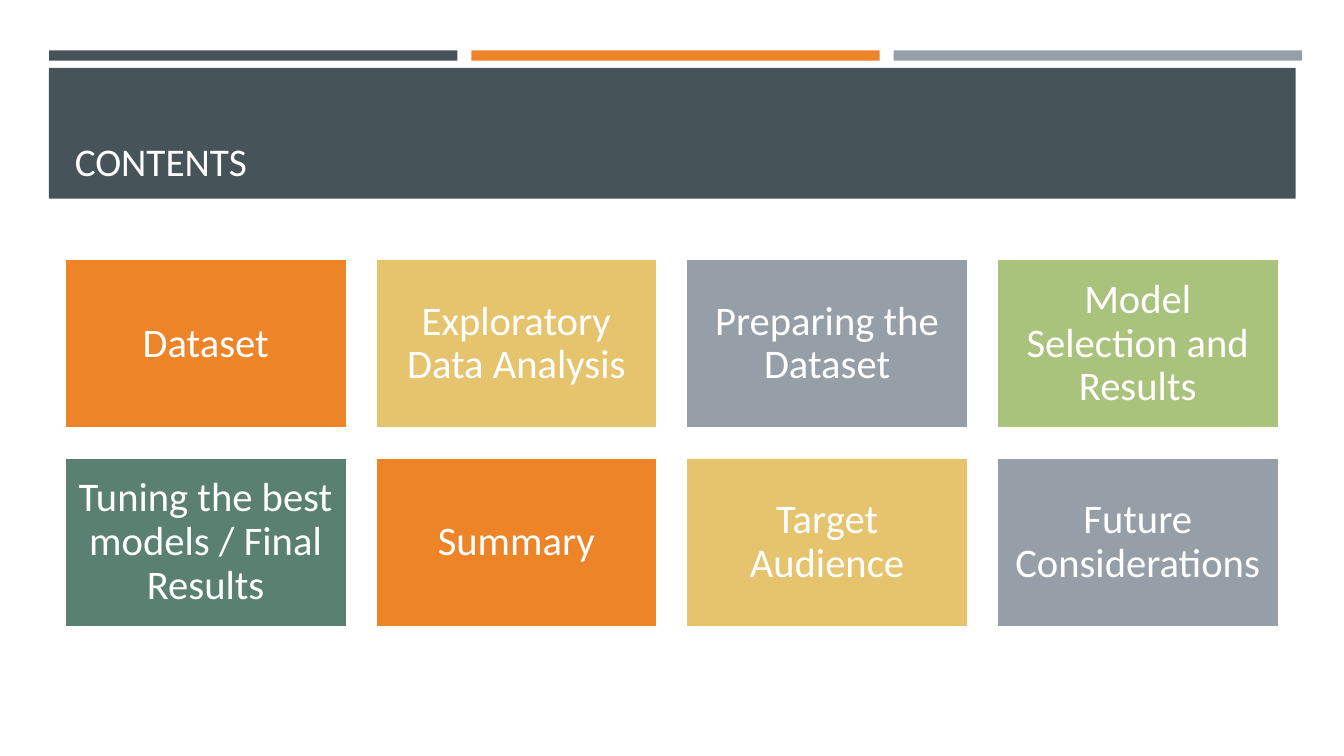
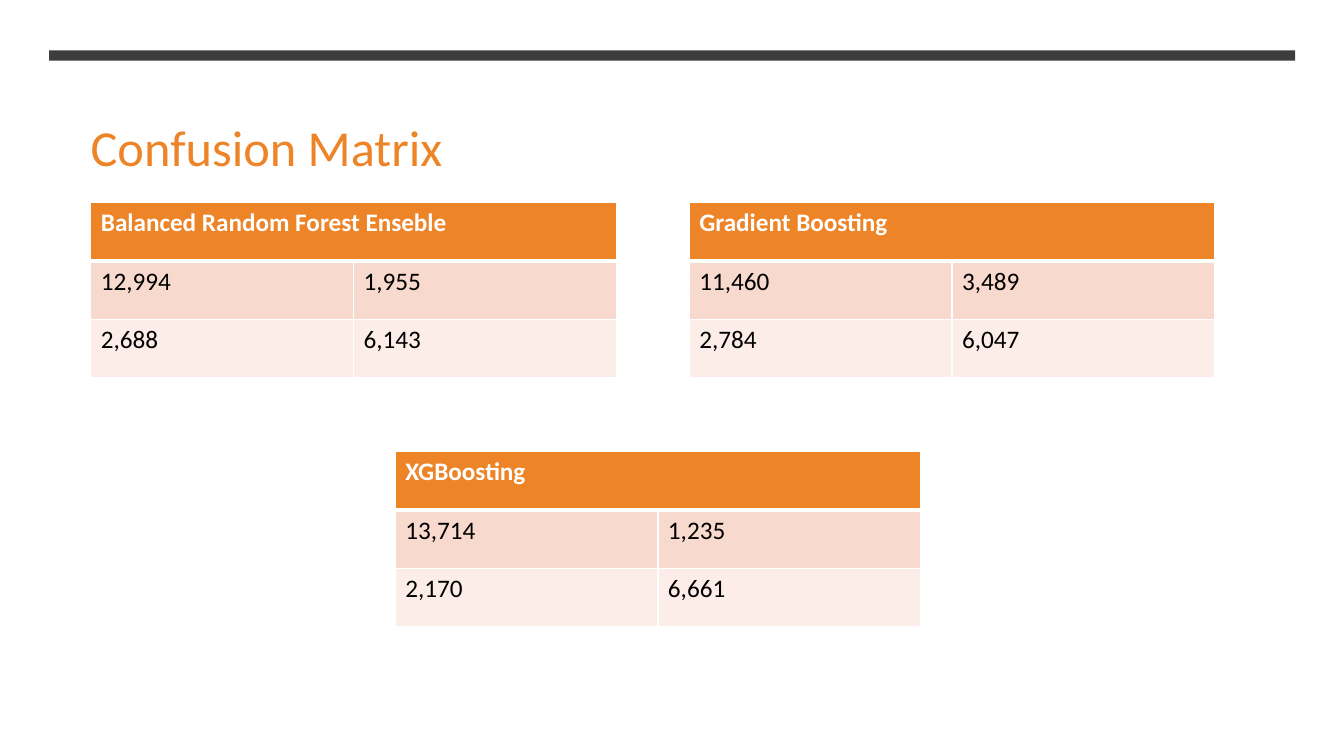
import pptx
import pptx.util
import pptx.dml.color
import pptx.enum.shapes
import pptx.enum.text
import pptx.oxml
import pptx.oxml.ns

Cm, Pt = pptx.util.Cm, pptx.util.Pt
ALIGN, ANCHOR = pptx.enum.text.PP_ALIGN, pptx.enum.text.MSO_ANCHOR
FONT = "Calibri"
SLATE, ORANGE, GREY, WHITE = "465359", "ED8428", "969FA7", "FFFFFF"
YELLOW, GREEN, TEAL, CHARCOAL = "E6C46D", "A9C37C", "5A8071", "3D3D3D"


def paint(target, color):
    """Give a fill or font a solid colour."""
    if hasattr(target, "solid"):
        target.solid()
        target = target.fore_color
    else:
        target = target.color
    target.rgb = pptx.dml.color.RGBColor.from_string(color)


def set_text(tf, text, size, color, align=ALIGN.LEFT, anchor=ANCHOR.TOP, bold=False):
    tf.text = text
    tf.word_wrap = True
    tf.vertical_anchor = anchor
    p = tf.paragraphs[0]
    p.alignment = align
    p.font.name, p.font.size, p.font.bold = FONT, Pt(size), bold
    paint(p.font, color)
    return p


prs = pptx.Presentation()
prs.slide_width, prs.slide_height = Cm(33.87), Cm(19.05)

# Bands and title of each slide: (left, top, width, height, colour)
slides = [
    ([(1.24 + 10.64 * i, 1.27, 10.29, 0.26, c) for i, c in enumerate((SLATE, ORANGE, GREY))]
     + [(1.23, 1.71, 31.42, 3.3, SLATE)],
     "CONTENTS", (1.63, 1.96, 30.63, 2.82), 28, "FFFEFF", ANCHOR.BOTTOM),
    ([(1.24, 1.27, 31.4, 0.26, CHARCOAL)],
     "Confusion Matrix", (2.03, 2.79, 25.91, 1.8), 36, ORANGE, ANCHOR.TOP),
]
for bands, text, box, size, color, anchor in slides:
    s = prs.slides.add_slide(prs.slide_layouts[5])
    for *place, fill in bands:
        sp = s.shapes.add_shape(pptx.enum.shapes.MSO_SHAPE.RECTANGLE, *map(Cm, place))
        sp.shadow.inherit = False
        paint(sp.fill, fill)
        sp.line.fill.background()
    title = s.shapes.title
    title.left, title.top, title.width, title.height = map(Cm, box)
    set_text(title.text_frame, text, size, color, anchor=anchor)
    title.text_frame.auto_size = pptx.enum.text.MSO_AUTO_SIZE.NONE
    s.shapes._spTree.append(title._element)  # title in front of the bands

contents, matrix = prs.slides

# Contents: grid of topic cards, four to a row
topics = ["Dataset", "Exploratory Data Analysis", "Preparing the Dataset",
          "Model Selection and Results", "Tuning the best models / Final Results",
          "Summary", "Target Audience", "Future Considerations"]
card_colors = [ORANGE, YELLOW, GREY, GREEN, TEAL]
for i, topic in enumerate(topics):
    row, col = divmod(i, 4)
    sp = contents.shapes.add_shape(pptx.enum.shapes.MSO_SHAPE.RECTANGLE,
                                   Cm(1.63 + 7.83 * col), Cm(6.53 + 5 * row), Cm(7.11), Cm(4.27))
    sp.shadow.inherit = False
    paint(sp.fill, card_colors[i % len(card_colors)])
    paint(sp.line.fill, WHITE)
    sp.line.width = Pt(1.75)
    tf = sp.text_frame
    tf.margin_left = tf.margin_right = tf.margin_top = tf.margin_bottom = Cm(0.3)
    p = set_text(tf, topic, 29, WHITE, ALIGN.CENTER, ANCHOR.MIDDLE)
    p.line_spacing = 0.9

# Confusion matrices: one table per model
models = [
    ("Balanced Random Forest Enseble", 2.29, 5.11, [("12,994", "1,955"), ("2,688", "6,143")]),
    ("XGBoosting", 9.96, 11.38, [("13,714", "1,235"), ("2,170", "6,661")]),
    ("Gradient Boosting", 17.37, 5.11, [("11,460", "3,489"), ("2,784", "6,047")]),
]
row_fills = [ORANGE, "F8D9CD", "FCEDE8"]
for model, left, top, counts in models:
    table = matrix.shapes.add_table(3, 2, Cm(left), Cm(top), Cm(13.24), Cm(4.41)).table
    table.first_row = table.horz_banding = False
    table.cell(0, 0).merge(table.cell(0, 1))
    for r, values in enumerate([(model, ""), *counts]):
        for c, value in enumerate(values):
            cell = table.cell(r, c)
            # White borders, thicker under the header
            for side in "LRTB":
                thick = (r, side) in [(0, "B"), (1, "T")]
                cell._tc.get_or_add_tcPr().append(pptx.oxml.parse_xml(
                    f'<a:ln{side} {pptx.oxml.ns.nsdecls("a")} w="{Pt(3 if thick else 1)}">'
                    f'<a:solidFill><a:srgbClr val="{WHITE}"/></a:solidFill></a:ln{side}>'))
            paint(cell.fill, row_fills[r])
            if value:
                set_text(cell.text_frame, value, 18, "000000" if r else WHITE, bold=r == 0)

prs.save("out.pptx")
